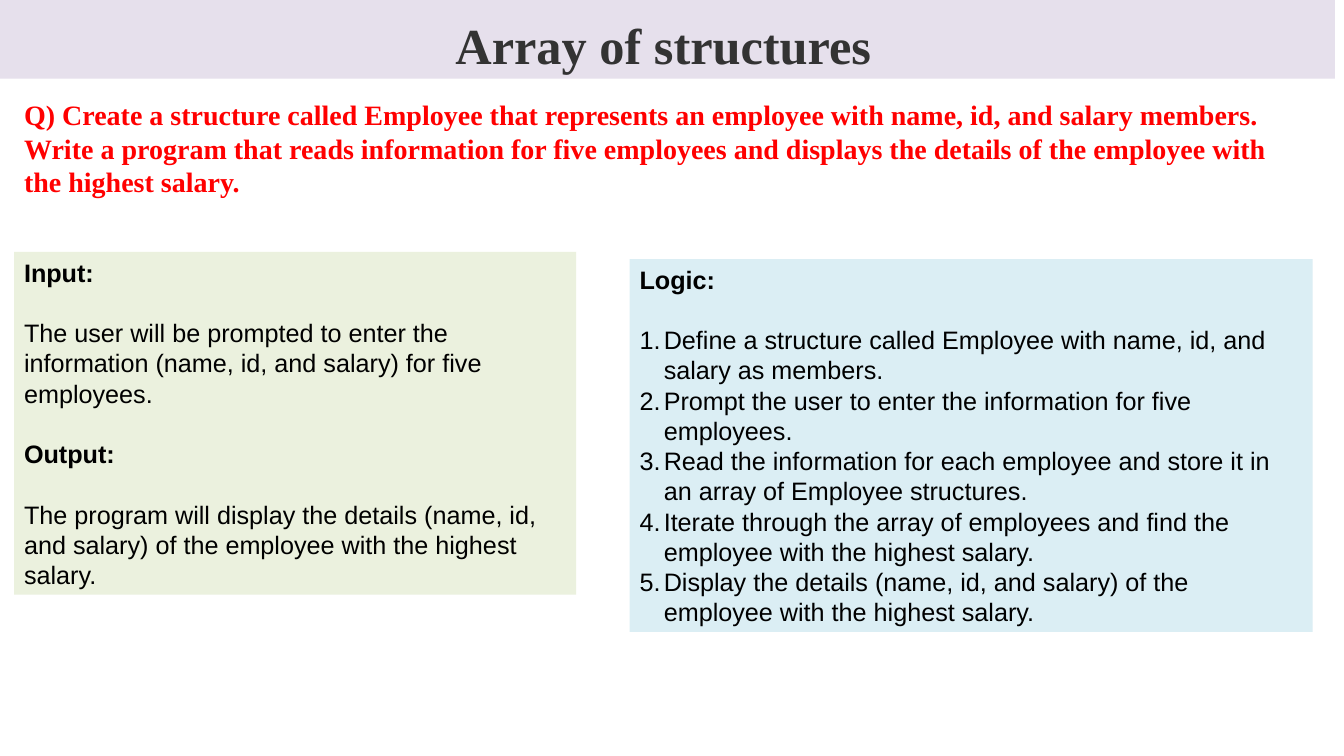
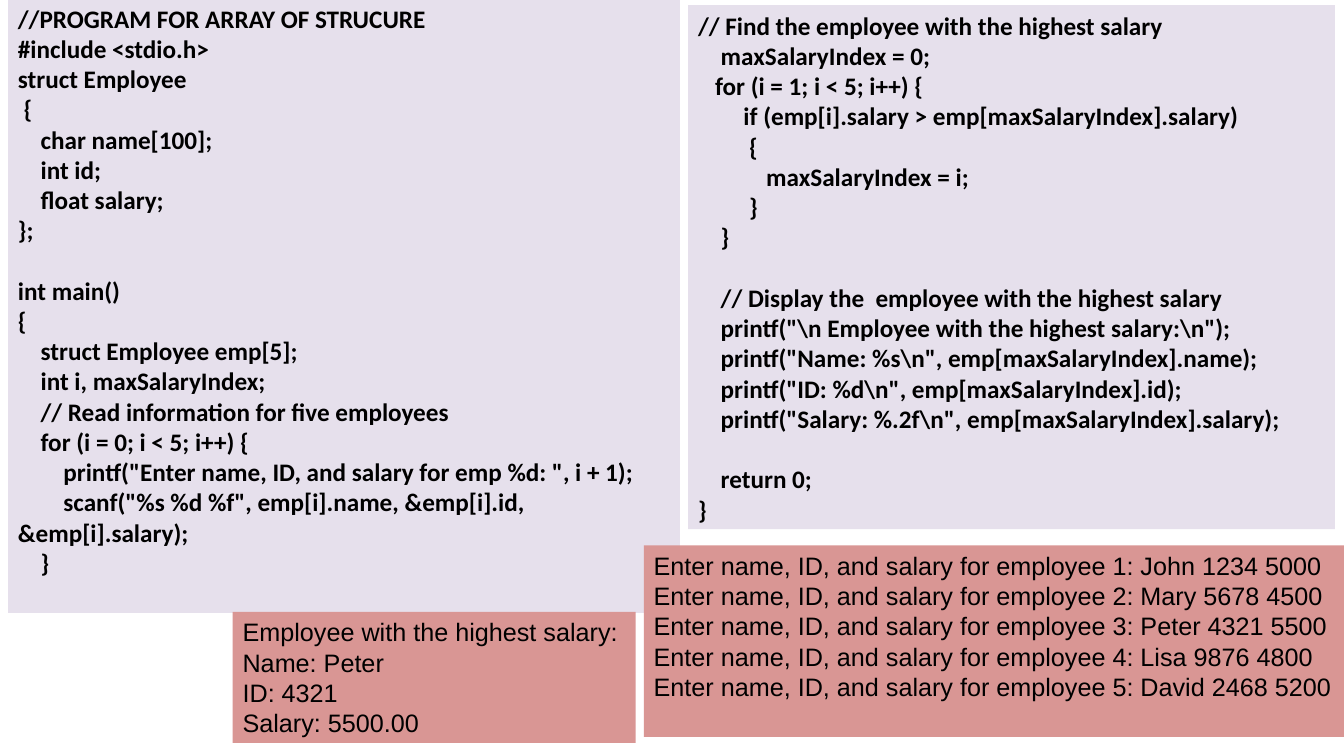
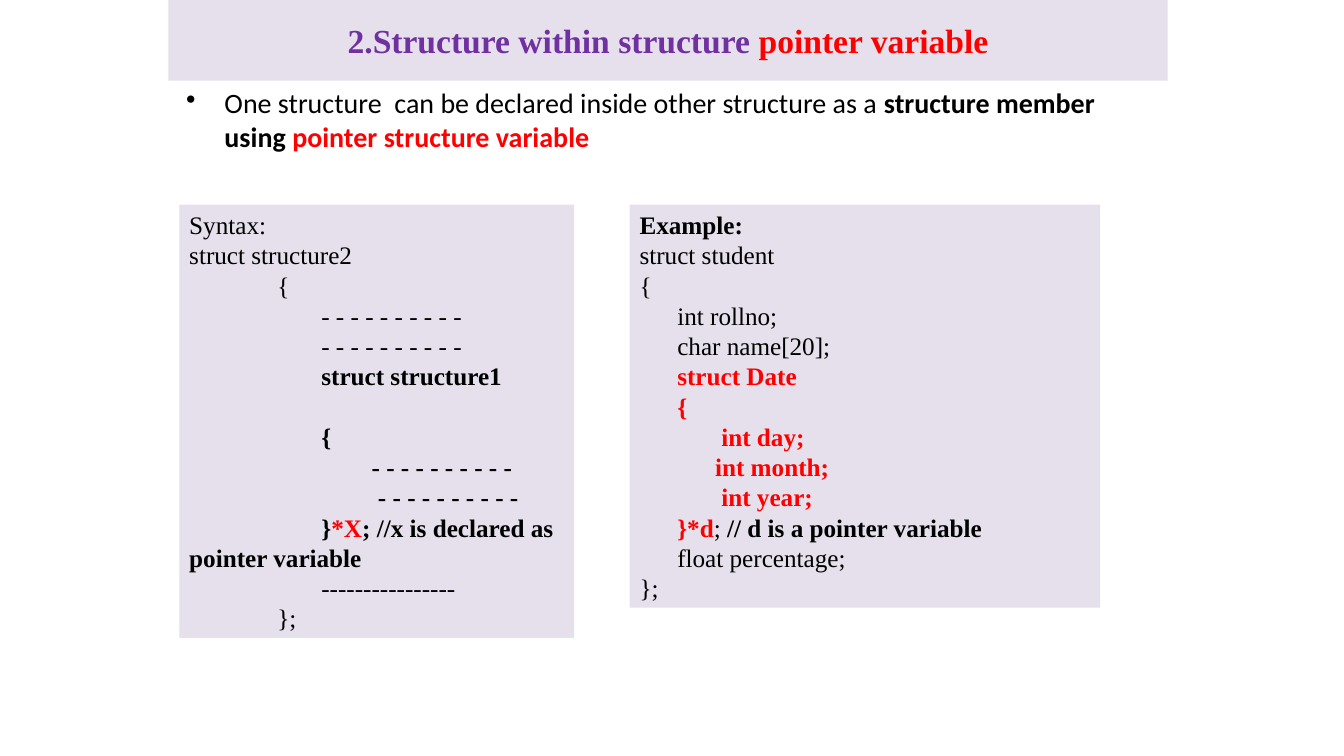
from lxml import etree
from pptx import Presentation
from pptx.dml.color import RGBColor
from pptx.enum.shapes import MSO_SHAPE
from pptx.enum.text import MSO_ANCHOR, PP_ALIGN
from pptx.oxml.ns import qn
from pptx.util import Emu, Pt

RECT = MSO_SHAPE.RECTANGLE
TOP, MIDDLE = MSO_ANCHOR.TOP, MSO_ANCHOR.MIDDLE
LEFT, CENTER = PP_ALIGN.LEFT, PP_ALIGN.CENTER

SCALE = 9144
LEAD = 1.2
SERIF, SANS, CODE = "Times New Roman", "Arial", "Calibri"
LILAC, GREEN, BLUE, ROSE = "E6E0EC", "EBF1DE", "DBEEF4", "D99694"
BLACK, RED, PURPLE, GREY = "000000", "FF0000", "7030A0", "333333"

PROGRAM = r"""//PROGRAM FOR ARRAY OF STRUCURE
#include <stdio.h>
struct Employee
 {
    char name[100];
    int id;
    float salary;
};

int main()
{
    struct Employee emp[5];
    int i, maxSalaryIndex;
    // Read information for five employees
    for (i = 0; i < 5; i++) {
        printf("Enter name, ID, and salary for emp %d: ", i + 1);
        scanf("%s %d %f", emp[i].name, &emp[i].id, &emp[i].salary);
    }"""

SEARCH = r"""// Find the employee with the highest salary
    maxSalaryIndex = 0;
   for (i = 1; i < 5; i++) {
        if (emp[i].salary > emp[maxSalaryIndex].salary)
         {
            maxSalaryIndex = i;
         }
    }

    // Display the  employee with the highest salary
    printf("\n Employee with the highest salary:\n");
    printf("Name: %s\n", emp[maxSalaryIndex].name);
    printf("ID: %d\n", emp[maxSalaryIndex].id);
    printf("Salary: %.2f\n", emp[maxSalaryIndex].salary);

    return 0;
}"""

STAFF = ["John 1234 5000", "Mary 5678 4500", "Peter 4321 5500",
         "Lisa 9876 4800", "David 2468 5200"]

STEPS = [
    "Define a structure called Employee with name, id, and salary as members.",
    "Prompt the user to enter the information for five employees.",
    "Read the information for each employee and store it in an array of Employee structures.",
    "Iterate through the array of employees and find the employee with the highest salary.",
    "Display the details (name, id, and salary) of the employee with the highest salary.",
]


def px(n):
    return Emu(n * SCALE)


def color(code):
    return RGBColor.from_string(code)


def bold(text, tint=BLACK):
    return (text, True, tint)


def plain(text, tint=BLACK):
    return (text, False, tint)


def style(font, weight, tint):
    font.bold = weight
    font.color.rgb = color(tint)


def bullet(para, indent, tag, **attrs):
    props = para._p.get_or_add_pPr()
    props.set("marL", str(px(indent)))
    props.set("indent", str(-px(indent)))
    etree.SubElement(props, qn(tag), attrs)


def number(para):
    bullet(para, 24, "a:buAutoNum", type="arabicPeriod")


def dot(para):
    bullet(para, 38, "a:buChar", char="•")


def write(frame, lines, face, size, lead=None, align=LEFT, mark=None):
    gap = False
    fresh = True
    for line in lines:
        if not line:
            gap = True
            continue
        runs = line if isinstance(line, list) else [line]
        para = frame.paragraphs[0] if fresh else frame.add_paragraph()
        fresh = False
        para.alignment = align
        para.line_spacing = lead or Pt(size * LEAD)
        if gap:
            para.space_before = Pt(size * LEAD)
            gap = False
        if mark and not runs[0][1]:
            mark(para)
        para.font.name = face
        para.font.size = Pt(size)
        if len(runs) == 1:
            style(para.font, *runs[0][1:])
        for text, weight, tint in runs:
            run = para.add_run()
            run.text = text
            if len(runs) > 1:
                style(run.font, weight, tint)


def panel(slide, box, fill, lines, face, size=18, anchor=TOP, **opts):
    spot = [px(n) for n in box]
    if fill:
        shape = slide.shapes.add_shape(RECT, *spot)
        shape.shadow.inherit = False
        shape.fill.solid()
        shape.fill.fore_color.rgb = color(fill)
        shape.line.fill.background()
    else:
        shape = slide.shapes.add_textbox(*spot)
    frame = shape.text_frame
    frame.word_wrap = True
    frame.vertical_anchor = anchor
    write(frame, lines, face, size, **opts)


def band(slide, box, runs, size, lead=1.0):
    panel(slide, box, LILAC, [runs], SERIF, size, MIDDLE, lead=lead, align=CENTER)


def listing(slide, box, code):
    lines = [bold(line) if line else None for line in code.splitlines()]
    panel(slide, box, LILAC, lines, CODE)


def task(slide):
    panel(slide, (14, 92, 1289, 110), None, [bold(
        "Q) Create a structure called Employee that represents an employee with name, id, "
        "and salary members. Write a program that reads information for five employees and "
        "displays the details of the employee with the highest salary.", RED)], SERIF, 20)
    band(slide, (-8, 0, 1333, 78), [bold("Array of structures", GREY)], 36, 1.15)
    panel(slide, (14, 250, 558, 340), GREEN, [
        bold("Input:"),
        None,
        plain("The user will be prompted to enter the information (name, id, and salary) "
              "for five employees."),
        None,
        bold("Output:"),
        None,
        plain("The program will display the details (name, id, and salary) of the employee "
              "with the highest salary."),
    ], SANS)
    panel(slide, (625, 257, 678, 370), BLUE,
          [bold("Logic:"), None] + [plain(step) for step in STEPS], SANS, mark=number)


def program(slide):
    listing(slide, (8, -2, 667, 610), PROGRAM)
    listing(slide, (683, 5, 642, 520), SEARCH)
    panel(slide, (639, 541, 700, 190), ROSE,
          [plain(f"Enter name, ID, and salary for employee {i}: {entry}")
           for i, entry in enumerate(STAFF, 1)], SANS)
    panel(slide, (231, 607, 400, 130), ROSE, [
        plain("Employee with the highest salary:"),
        plain("Name: Peter"),
        plain("ID: 4321"),
        plain("Salary: 5500.00"),
    ], SANS)


def nested(slide):
    band(slide, (167, 0, 992, 80), [
        bold("2.Structure within structure ", PURPLE),
        bold("pointer variable", RED),
    ], 24)
    panel(slide, (175, 80, 983, 653), None, [[
        plain("One structure  can be declared inside other structure as a "),
        bold("structure member using "),
        bold("pointer structure variable", RED),
    ]], CODE, 20, lead=1.0, mark=dot)
    panel(slide, (625, 203, 467, 400), LILAC, [
        bold("Example:"),
        plain("struct student"),
        plain("{"),
        plain("      int rollno;"),
        plain("      char name[20];"),
        bold("      struct Date", RED),
        bold("      {", RED),
        bold("             int day;", RED),
        bold("            int month;", RED),
        bold("             int year;", RED),
        [bold("      }*d", RED), plain("; "), bold("// d is a pointer variable")],
        plain("      float percentage;"),
        plain("};"),
    ], SERIF)
    dash = "- - - - - - - - - -"
    deep = " " * 21
    panel(slide, (178, 203, 392, 430), LILAC, [
        plain("Syntax:"),
        plain("struct structure2"),
        plain("              {"),
        plain(deep + dash),
        plain(deep + dash),
        bold(deep + "struct structure1"),
        None,
        bold(deep + "{"),
        bold(" " * 29 + dash),
        bold(" " * 30 + dash),
        [bold(deep + "}"), bold("*X", RED), bold("; //x is declared as pointer variable")],
        plain(deep + "-" * 16),
        plain("              };"),
    ], SERIF)


def main():
    deck = Presentation()
    deck.slide_width, deck.slide_height = px(1334), px(750)
    blank = deck.slide_layouts[6]
    for build in (task, program, nested):
        build(deck.slides.add_slide(blank))
    deck.save("out.pptx")


if __name__ == "__main__":
    main()
